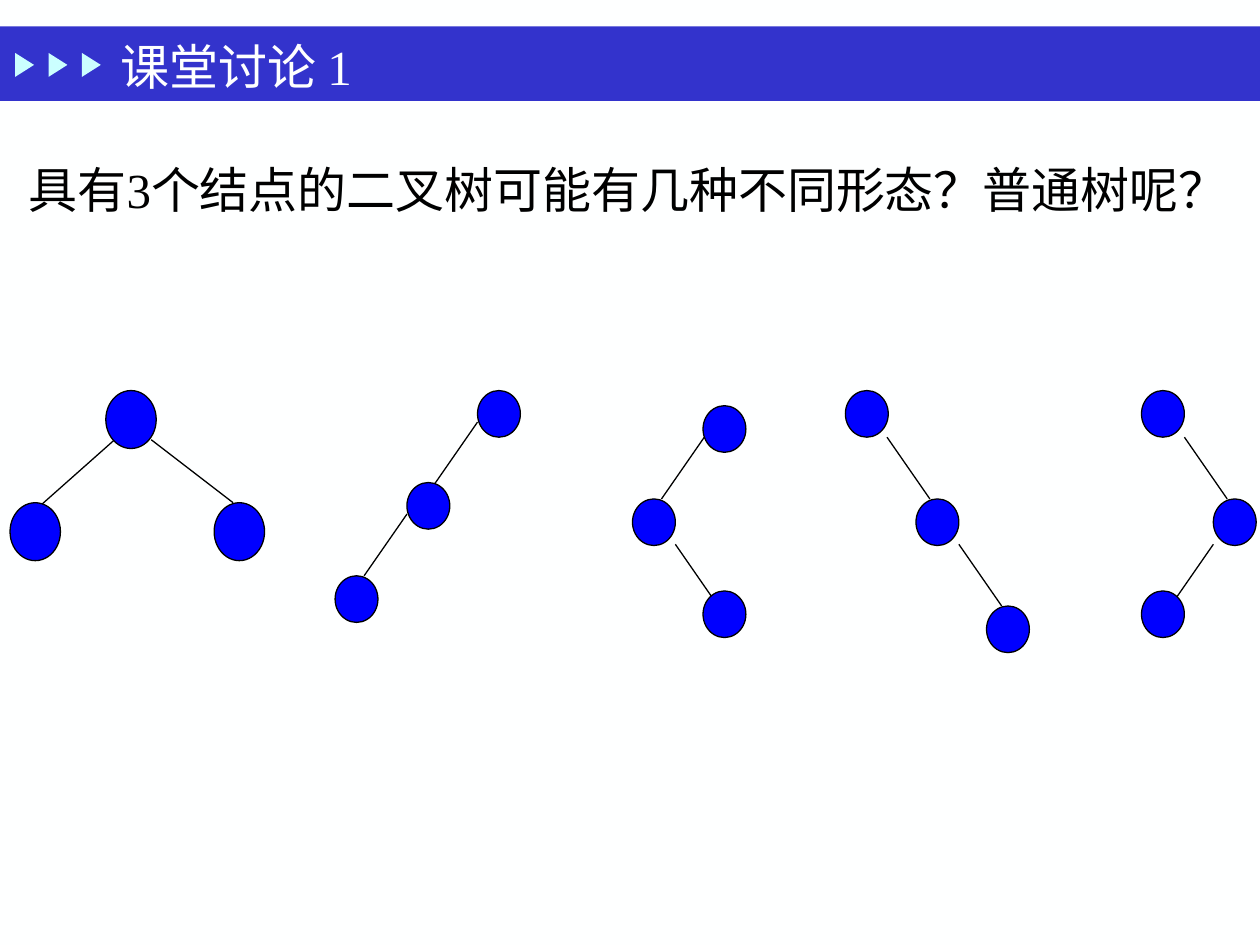
from lxml.etree import SubElement
from pptx import Presentation
from pptx.dml.color import RGBColor
from pptx.enum.shapes import MSO_CONNECTOR as Connector, MSO_SHAPE as Shape
from pptx.enum.text import MSO_ANCHOR as Anchor, MSO_AUTO_SIZE as AutoSize
from pptx.oxml.ns import qn
from pptx.util import Inches, Pt

FONT = "Times New Roman"
BLACK, WHITE = "000000", "FEFFFF"
BAND, ARROW, NODE = "3333CC", "CBFFFF", "0000FF"
SMALL_NODE = (0.34, 0.37)
LEFT_RUN, RIGHT_RUN = (-0.34, 0.49), (0.34, 0.49)

TREES = [
    dict(origin=(0.08, 3.1), size=(0.4, 0.46),
         nodes=[(0.76, 0), (0, 0.89), (1.62, 0.89)],
         edges=[((0.83, 0.39), (-0.62, 0.55)), ((1.12, 0.39), (0.65, 0.5))]),
    dict(origin=(2.66, 3.1), size=SMALL_NODE,
         nodes=[(1.13, 0), (0.57, 0.73), (0, 1.47)],
         edges=[((1.13, 0.25), LEFT_RUN), ((0.57, 0.98), LEFT_RUN)]),
    dict(origin=(5.02, 3.22), size=SMALL_NODE,
         nodes=[(0.56, 0), (0, 0.74), (0.56, 1.47)],
         edges=[((0.57, 0.25), LEFT_RUN), ((0.34, 1.1), RIGHT_RUN)]),
    dict(origin=(6.71, 3.1), size=SMALL_NODE,
         nodes=[(0, 0), (0.56, 0.86), (1.12, 1.71)],
         edges=[((0.33, 0.37), RIGHT_RUN), ((0.9, 1.22), RIGHT_RUN)]),
    dict(origin=(9.06, 3.1), size=SMALL_NODE,
         nodes=[(0, 0), (0.57, 0.86), (0, 1.59)],
         edges=[((0.34, 0.37), RIGHT_RUN), ((0.57, 1.22), LEFT_RUN)]),
]


def color(value):
    """Turn a hex string into a colour."""
    return RGBColor.from_string(value)


def add_figure(shapes, kind, box, fill, line=None):
    """Place a filled preset shape, outlined when a line colour is given."""
    figure = shapes.add_shape(kind, *map(Inches, box))
    figure.shadow.inherit = False
    figure.fill.solid()
    figure.fill.fore_color.rgb = color(fill)
    if line:
        figure.line.color.rgb = color(line)
        figure.line.width = Pt(0.75)
    else:
        figure.line.fill.background()
    return figure


def add_text(page, text, box, ink=BLACK, size=28, anchor=Anchor.TOP, grow=False):
    """Place a one-paragraph text box."""
    frame = page.shapes.add_textbox(*map(Inches, box)).text_frame
    frame.word_wrap = True
    frame.vertical_anchor = anchor
    frame.auto_size = AutoSize.SHAPE_TO_FIT_TEXT if grow else AutoSize.NONE
    span = frame.paragraphs[0].add_run()
    span.text = text
    span.font.name = FONT
    span.font.size = Pt(size)
    span.font.color.rgb = color(ink)


def add_edge(shapes, start, run):
    """Draw a thin black line from a point along a horizontal and vertical run."""
    (x, y), (across, down) = start, run
    edge = shapes.add_connector(
        Connector.STRAIGHT, *map(Inches, (x, y, x + across, y + down)))
    edge.line.color.rgb = color(BLACK)
    edge.line.width = Pt(0.75)
    SubElement(edge.element.spPr, qn("a:effectLst"))


def add_header(page, title, left, top, width, height):
    """Place the title band with its three arrowheads."""
    add_figure(page.shapes, Shape.RECTANGLE, (left, top, width, height), BAND)
    arrows = page.shapes.add_group_shape()
    for index in range(3):
        box = (left + 0.1 + 0.265 * index, top + 0.23, 0.19, 0.15)
        add_figure(arrows.shapes, Shape.ISOSCELES_TRIANGLE, box, ARROW).rotation = 90
    add_text(page, title, (left + 0.86, top - 0.06, 2.56, 0.75),
             ink=WHITE, anchor=Anchor.MIDDLE)


def add_tree(shapes, origin, size, nodes, edges):
    """Draw a tree whose nodes and edges are measured from its origin."""
    left, top = origin
    for (x, y), run in edges:
        add_edge(shapes, (left + x, top + y), run)
    for x, y in nodes:
        add_figure(shapes, Shape.OVAL, (left + x, top + y, *size), NODE, BLACK)


def main():
    """Build the discussion slide."""
    deck = Presentation()
    deck.slide_width, deck.slide_height = Inches(10), Inches(7.5)
    page = deck.slides.add_slide(deck.slide_layouts[6])
    page.background.fill.solid()
    page.background.fill.fore_color.rgb = color(WHITE)
    add_header(page, "课堂讨论 1", 0, 0.21, 10, 0.59)
    add_text(page, "具有3个结点的二叉树可能有几种不同形态？普通树呢？",
             (0.13, 1.22, 9.87, 0.57), grow=True)
    forest = page.shapes.add_group_shape()
    for tree in TREES:
        add_tree(forest.shapes, **tree)
    deck.save("out.pptx")


if __name__ == "__main__":
    main()
